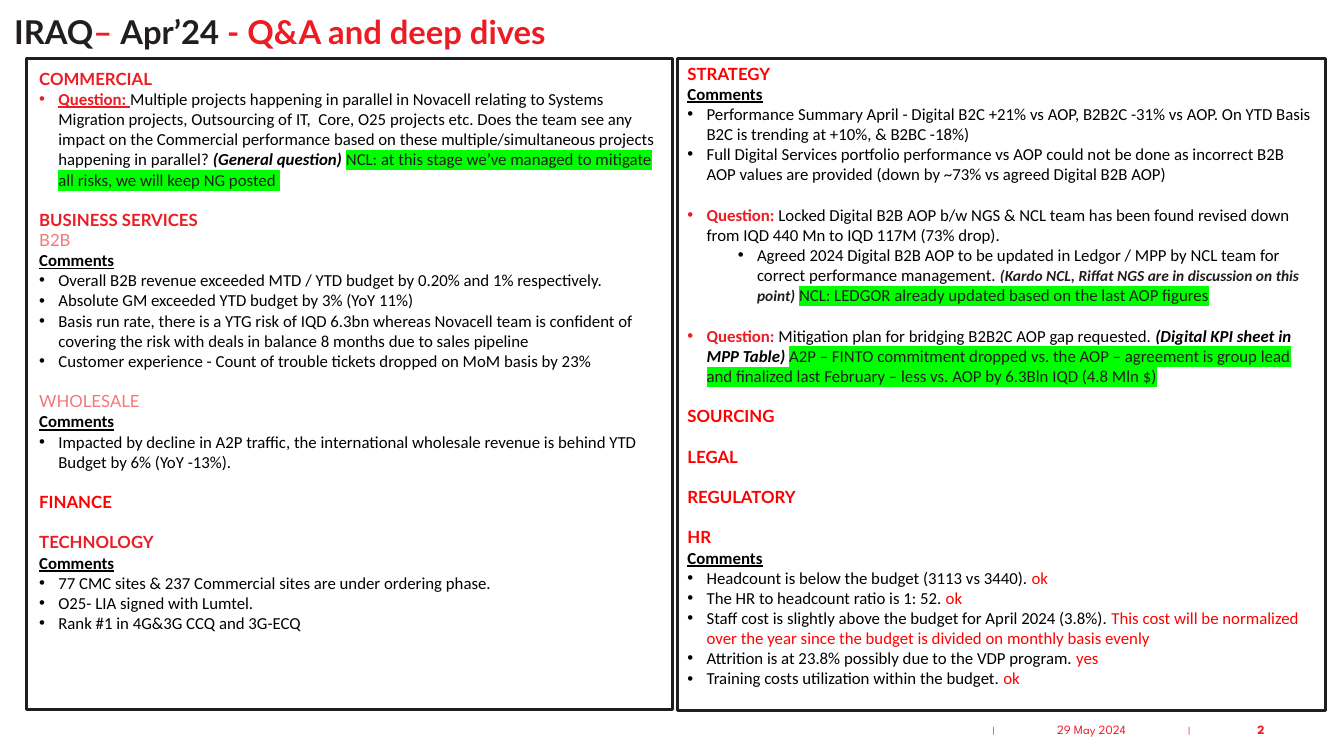
"""Build the Iraq April 2024 Q&A and deep dives slide."""
from dataclasses import dataclass

from lxml import etree
from pptx import Presentation
from pptx.dml.color import RGBColor
from pptx.enum import shapes, text
from pptx.oxml import ns
from pptx.util import Inches, Pt


@dataclass(frozen=True)
class Theme:
    red: str = "ED1C24"
    bright_red: str = "FF0000"
    pink: str = "F4777C"
    ink: str = "221E20"
    black: str = "000000"
    white: str = "FFFFFF"
    green: str = "00FF00"
    heading_font: str = "Lato"
    body_font: str = "Calibri"
    footer_font: str = "League Spartan"
    separator_font: str = "Arial"
    title_size: float = 23.4
    body_size: float = 12
    aside_size: float = 11
    footer_size: float = 9
    separator_size: float = 6
    gap: float = 14.4


theme = Theme()

# style: font, size, colour, and any of b(old), i(talic), u(nderline), h(ighlight)
STYLES = {
    "title": (theme.heading_font, theme.title_size, theme.ink, "b"),
    "title red": (theme.heading_font, theme.title_size, theme.red, "b"),
    "heading": (theme.heading_font, theme.body_size, theme.red, "b"),
    "bright heading": (theme.heading_font, theme.body_size, theme.bright_red, "b"),
    "subheading": (theme.heading_font, theme.body_size, theme.pink, ""),
    "comments": (theme.body_font, theme.body_size, theme.black, "bu"),
    "body": (theme.body_font, theme.body_size, theme.black, ""),
    "question": (theme.body_font, theme.body_size, theme.red, "b"),
    "underlined question": (theme.body_font, theme.body_size, theme.red, "bu"),
    "note": (theme.body_font, theme.body_size, theme.black, "bi"),
    "aside": (theme.body_font, theme.aside_size, theme.ink, "bi"),
    "answer": (theme.body_font, theme.body_size, theme.ink, "h"),
    "reply": (theme.body_font, theme.body_size, theme.bright_red, ""),
    "footer": (theme.footer_font, theme.footer_size, theme.red, ""),
    "page": (theme.footer_font, theme.footer_size, theme.red, "b"),
    "separator": (theme.separator_font, theme.separator_size, theme.red, ""),
}

COMMENTS = (None, 0, [("Comments", "comments")])

LEFT = [
    (None, 0, [("COMMERCIAL", "heading")]),
    (0.19, 0, [
        ("Question: ", "underlined question"),
        ("Multiple projects happening in parallel in Novacell relating to Systems Migration projects, "
         "Outsourcing of IT,  Core, O25 projects etc. Does the team see any impact on the Commercial "
         "performance based on these multiple/simultaneous projects happening in parallel? ", "body"),
        ("(General question) ", "note"),
        ("NCL: at this stage we’ve managed to mitigate all risks, we will keep NG posted ", "answer")]),
    (None, 1, [("BUSINESS SERVICES", "heading")]),
    (None, 0, [("B2B", "subheading")]),
    COMMENTS,
    (0.19, 0, [("Overall B2B revenue exceeded MTD / YTD budget by 0.20% and 1% respectively.", "body")]),
    (0.19, 0, [("Absolute GM exceeded YTD budget by 3% (YoY 11%)", "body")]),
    (0.19, 0, [("Basis run rate, there is a YTG risk of IQD 6.3bn whereas Novacell team is confident of "
                "covering the risk with deals in balance 8 months due to sales pipeline", "body")]),
    (0.19, 0, [("Customer experience - Count of trouble tickets dropped on MoM basis by 23%", "body")]),
    (None, 1, [("WHOLESALE", "subheading")]),
    COMMENTS,
    (0.19, 0, [("Impacted by decline in A2P traffic, the international wholesale revenue is behind YTD "
                "Budget by 6% (YoY -13%).", "body")]),
    (None, 1, [("FINANCE", "bright heading")]),
    (None, 1, [("TECHNOLOGY", "heading")]),
    COMMENTS,
    (0.19, 0, [("77 CMC sites & 237 Commercial sites are under ordering phase.", "body")]),
    (0.19, 0, [("O25- LIA signed with Lumtel.", "body")]),
    (0.19, 0, [("Rank #1 in 4G&3G CCQ and 3G-ECQ", "body")]),
]

RIGHT = [
    (None, 0, [("STRATEGY", "bright heading")]),
    COMMENTS,
    (0.19, 0, [("Performance Summary April - Digital B2C +21% vs AOP, B2B2C -31% vs AOP. On YTD Basis B2C "
                "is trending at +10%, & B2BC -18%)", "body")]),
    (0.19, 0, [("Full Digital Services portfolio performance vs AOP could not be done as incorrect B2B AOP "
                "values are provided (down by ~73% vs agreed Digital B2B AOP)", "body")]),
    (0.19, 1, [
        ("Question: ", "question"),
        ("Locked Digital B2B AOP b/w NGS & NCL team has been found revised down from IQD 440 Mn to "
         "IQD 117M (73% drop).", "body")]),
    (0.69, 0, [
        ("Agreed 2024 Digital B2B AOP to be updated in Ledgor / MPP by NCL team for correct performance "
         "management. ", "body"),
        ("(Kardo NCL, Riffat NGS are in discussion on this point)", "aside"),
        (" ", "body"),
        ("NCL: LEDGOR already updated based on the last AOP figures", "answer")]),
    (0.19, 1, [
        ("Question: ", "question"),
        ("Mitigation plan for bridging B2B2C AOP gap requested. ", "body"),
        ("(Digital KPI sheet in MPP Table) ", "note"),
        ("A2P – FINTO commitment dropped vs. the AOP – agreement is group lead and finalized last "
         "February – less vs. AOP by 6.3Bln IQD (4.8 Mln $)", "answer")]),
    *[(None, 1, [(name, "bright heading")]) for name in ("SOURCING", "LEGAL", "REGULATORY", "HR")],
    COMMENTS,
    *[(0.19, 0, [(remark, "body"), (reply, "reply")]) for remark, reply in (
        ("Headcount is below the budget (3113 vs 3440). ", "ok"),
        ("The HR to headcount ratio is 1: 52. ", "ok"),
        ("Staff cost is slightly above the budget for April 2024 (3.8%). ",
         "This cost will be normalized over the year since the budget is divided on monthly basis evenly"),
        ("Attrition is at 23.8% possibly due to the VDP program. ", "yes"),
        ("Training costs utilization within the budget. ", "ok"))],
]


def write_runs(paragraph, runs):
    for words, style in runs:
        run = paragraph.add_run()
        run.text = words
        font_name, size, colour, flags = STYLES[style]
        font = run.font
        font.size = Pt(size)
        font.bold = "b" in flags
        font.italic = "i" in flags
        font.underline = "u" in flags
        font.color.rgb = RGBColor.from_string(colour)
        font.name = font_name
        if "h" in flags:
            highlight = etree.Element(ns.qn("a:highlight"))
            etree.SubElement(highlight, ns.qn("a:srgbClr"), val=theme.green)
            run._r.rPr.find(ns.qn("a:solidFill")).addnext(highlight)


def write_paragraphs(frame, paragraphs):
    frame.word_wrap = True
    frame.vertical_anchor = text.MSO_ANCHOR.TOP
    for index, (indent, gaps, runs) in enumerate(paragraphs):
        paragraph = frame.add_paragraph() if index else frame.paragraphs[0]
        paragraph.alignment = text.PP_ALIGN.LEFT
        paragraph.space_before = Pt(gaps * theme.gap)
        write_runs(paragraph, runs)
        if indent:
            properties = paragraph._p.get_or_add_pPr()
            properties.set("marL", str(Inches(indent)))
            properties.set("indent", str(Inches(-0.19)))
            etree.SubElement(properties, ns.qn("a:buFont"), typeface="Arial")
            etree.SubElement(properties, ns.qn("a:buChar"), char="•")


presentation = Presentation()
presentation.slide_width = Inches(13.33)
presentation.slide_height = Inches(7.5)
slide = presentation.slides.add_slide(presentation.slide_layouts[6])

panels = []
for left, width, height in ((6.72, 6.43, 6.47), (0.26, 6.41, 6.46)):
    panel = slide.shapes.add_shape(
        shapes.MSO_SHAPE.RECTANGLE, Inches(left), Inches(0.58), Inches(width), Inches(height))
    panel.shadow.inherit = False
    panel.fill.solid()
    panel.fill.fore_color.rgb = RGBColor.from_string(theme.white)
    panel.line.color.rgb = RGBColor.from_string(theme.ink)
    panel.line.width = Pt(2)
    panels.append(panel)
write_paragraphs(panels[0].text_frame, RIGHT)

left_box = slide.shapes.add_textbox(Inches(0.29), Inches(0.63), Inches(6.41), Inches(6.13))
write_paragraphs(left_box.text_frame, LEFT)

TITLE = [("IRAQ", "title"), ("– ", "title red"), ("Apr’24", "title"), (" - Q&A and deep dives", "title red")]
center, right = text.PP_ALIGN.CENTER, text.PP_ALIGN.RIGHT
for position, alignment, runs in (
    ((0.14, 0.11, 13.17, 0.45), text.PP_ALIGN.LEFT, TITLE),
    ((9.68, 7.14, 0.35, 0.2), center, [("|", "separator")]),
    ((11.64, 7.14, 0.31, 0.2), center, [("|", "separator")]),
    ((9.87, 7.04, 1.91, 0.4), center, [("29 May 2024", "footer")]),
    ((11.78, 7.04, 0.86, 0.4), right, [("2", "page")]),
):
    box = slide.shapes.add_textbox(*map(Inches, position))
    frame = box.text_frame
    frame.word_wrap = True
    frame.vertical_anchor = text.MSO_ANCHOR.MIDDLE
    paragraph = frame.paragraphs[0]
    paragraph.alignment = alignment
    write_runs(paragraph, runs)
    if runs is TITLE:
        frame.margin_left = 0
        paragraph.line_spacing = 0.9

presentation.save("out.pptx")
